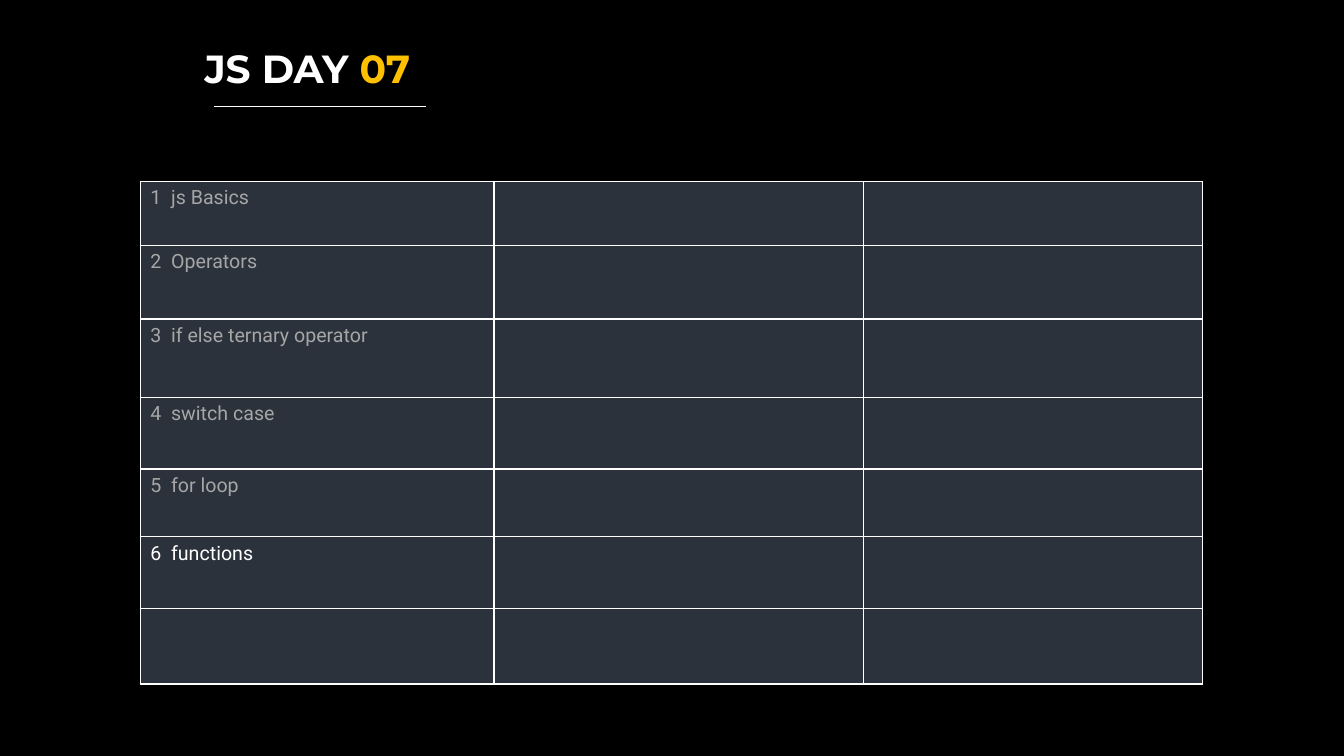
from lxml import etree
from pptx import Presentation
from pptx.dml.color import RGBColor
from pptx.enum.shapes import MSO_CONNECTOR
from pptx.oxml.ns import qn
from pptx.util import Pt

STRAIGHT = MSO_CONNECTOR.STRAIGHT

BLACK = "000000"
WHITE = "FFFFFF"
AMBER = "FFC000"
GREY = "A6A6A6"
SLATE = "2B323C"

TOPICS = ["js Basics", "Operators", "if else ternary operator",
          "switch case", "for loop", "functions"]
CURRENT_TOPIC = "functions"
COLUMN_WIDTHS = [252.7, 264.2, 242]
ROW_HEIGHTS = [45.7, 52.7, 55.9, 51.2, 48.5, 51.4, 53.8]


def color(value):
    return RGBColor.from_string(value)


class Deck:
    heading_font = "Montserrat"
    body_font = "Roboto"

    def __init__(self, width, height):
        self.presentation = Presentation()
        self.presentation.slide_width = Pt(width)
        self.presentation.slide_height = Pt(height)
        self.slide = None

    def add_slide(self, background):
        layout = self.presentation.slide_layouts[6]
        self.slide = self.presentation.slides.add_slide(layout)
        fill = self.slide.background.fill
        fill.solid()
        fill.fore_color.rgb = color(background)

    def style(self, run, font, size, ink, bold=False):
        run.font.name = font
        run.font.size = Pt(size)
        run.font.bold = bold
        run.font.color.rgb = color(ink)

    def heading(self, left, top, width, height, parts):
        box = self.slide.shapes.add_textbox(Pt(left), Pt(top), Pt(width), Pt(height))
        box.text_frame.word_wrap = True
        paragraph = box.text_frame.paragraphs[0]
        for words, ink in parts:
            run = paragraph.add_run()
            run.text = words
            self.style(run, self.heading_font, 28, ink, bold=True)

    def rule(self, left, right, y, ink):
        line = self.slide.shapes.add_connector(
            STRAIGHT, Pt(left), Pt(y), Pt(right), Pt(y))
        line.line.color.rgb = color(ink)
        line.line.width = Pt(0.75)
        etree.SubElement(line._element.spPr, qn("a:effectLst"))

    def border(self, cell, ink):
        properties = cell._tc.get_or_add_tcPr()
        for side in ("a:lnL", "a:lnR", "a:lnT", "a:lnB"):
            edge = etree.SubElement(properties, qn(side), w=str(Pt(1)))
            paint = etree.SubElement(edge, qn("a:solidFill"))
            etree.SubElement(paint, qn("a:srgbClr"), val=ink)

    def table(self, left, top, widths, heights, fill, edge):
        grid = self.slide.shapes.add_table(
            len(heights), len(widths), Pt(left), Pt(top),
            Pt(sum(widths)), Pt(sum(heights))).table
        grid.first_row = False
        grid.horz_banding = False
        for column, width in zip(grid.columns, widths):
            column.width = Pt(width)
        for row, height in zip(grid.rows, heights):
            row.height = Pt(height)
        for cell in grid.iter_cells():
            self.border(cell, edge)
            cell.fill.solid()
            cell.fill.fore_color.rgb = color(fill)
        return grid

    def cell_text(self, cell, words, ink):
        cell.text_frame.text = words
        self.style(cell.text_frame.paragraphs[0].runs[0], self.body_font, 14, ink)


def main():
    deck = Deck(960, 540)
    deck.add_slide(BLACK)
    deck.heading(139, 28.1, 814.3, 41, [("JS DAY ", WHITE), ("07", AMBER)])
    deck.rule(152.6, 304, 75.8, WHITE)
    agenda = deck.table(100.2, 129.5, COLUMN_WIDTHS, ROW_HEIGHTS, SLATE, WHITE)
    for index, topic in enumerate(TOPICS):
        ink = WHITE if topic == CURRENT_TOPIC else GREY
        deck.cell_text(agenda.cell(index, 0), f"{index + 1}  {topic}", ink)
    deck.presentation.save("out.pptx")


if __name__ == "__main__":
    main()
